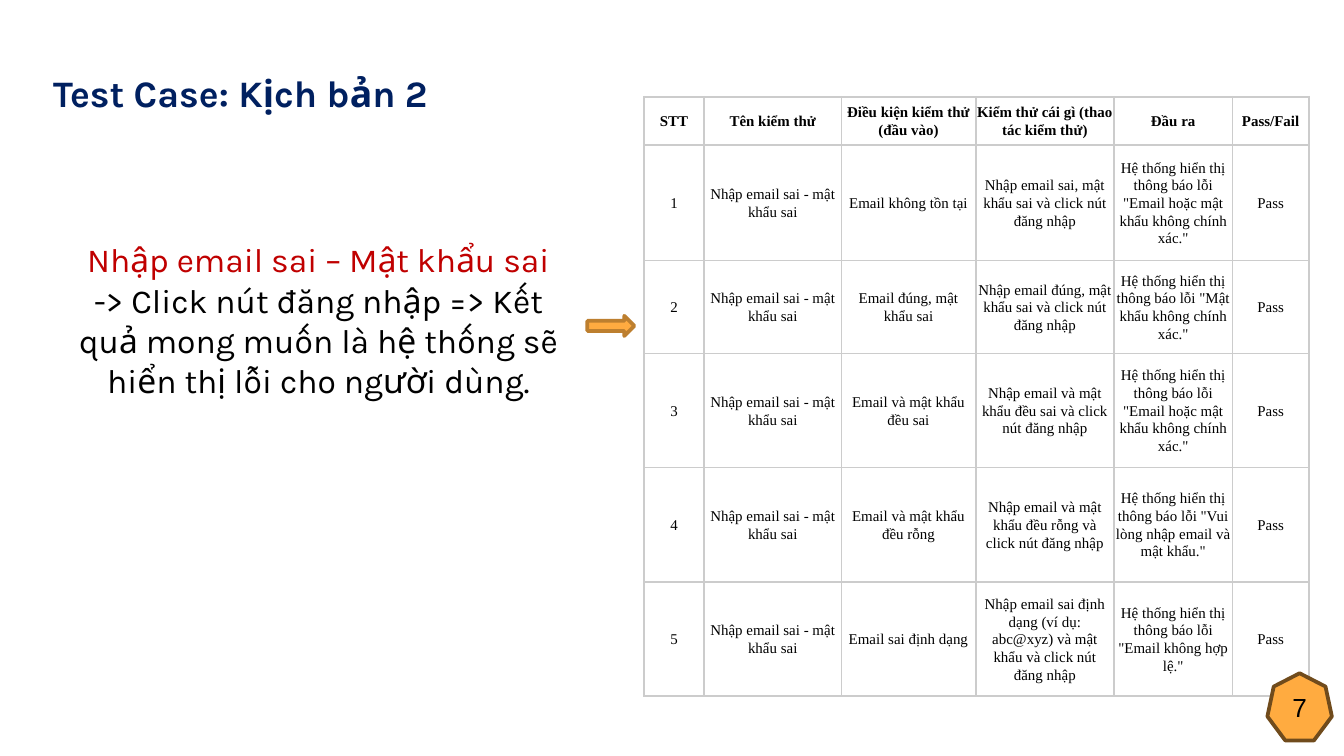
from pptx import Presentation
from pptx.dml.color import RGBColor
from pptx.enum.shapes import MSO_SHAPE as Shape
from pptx.enum.text import MSO_ANCHOR as Anchor, PP_ALIGN as Align
from pptx.oxml import parse_xml
from pptx.oxml.ns import nsdecls
from pptx.util import Inches, Pt

NAVY = RGBColor(0x00, 0x20, 0x60)
RED = RGBColor(0xC0, 0x00, 0x00)
BLACK = RGBColor(0x00, 0x00, 0x00)
ORANGE = RGBColor(0xFF, 0xAB, 0x40)
OCHRE = RGBColor(0xBD, 0x7F, 0x2F)
BROWN = RGBColor(0x70, 0x4B, 0x1C)
GRAY = RGBColor(0xCC, 0xCC, 0xCC)

COLUMN_WIDTHS = [0.45, 1.02, 1, 1.03, 0.88, 0.57]
ROW_HEIGHTS = [0.36, 0.86, 0.69, 0.85, 0.85, 0.85]
HEADERS = ["STT", "Tên kiểm thử", "Điều kiện kiểm thử (đầu vào)",
           "Kiểm thử cái gì (thao tác kiểm thử)", "Đầu ra", "Pass/Fail"]
TEST_NAME = "Nhập email sai - mật khẩu sai"
# Input condition, action, shown error
TEST_CASES = [
    ("Email không tồn tại",
     "Nhập email sai, mật khẩu sai và click nút đăng nhập",
     "Email hoặc mật khẩu không chính xác."),
    ("Email đúng, mật khẩu sai",
     "Nhập email đúng, mật khẩu sai và click nút đăng nhập",
     "Mật khẩu không chính xác."),
    ("Email và mật khẩu đều sai",
     "Nhập email và mật khẩu đều sai và click nút đăng nhập",
     "Email hoặc mật khẩu không chính xác."),
    ("Email và mật khẩu đều rỗng",
     "Nhập email và mật khẩu đều rỗng và click nút đăng nhập",
     "Vui lòng nhập email và mật khẩu."),
    ("Email sai định dạng",
     "Nhập email sai định dạng (ví dụ: abc@xyz) và mật khẩu và click nút đăng nhập",
     "Email không hợp lệ."),
]


def add_text(paragraph, text, font="Karla", size=18, color=BLACK, bold=False,
             spacing=None):
    paragraph.alignment = Align.CENTER
    if spacing:
        paragraph.line_spacing = spacing
    run = paragraph.add_run()
    run.text = text
    run.font.name = font
    run.font.size = Pt(size)
    run.font.bold = bold
    run.font.color.rgb = color


def set_margins(target, horizontal, vertical):
    target.margin_left = target.margin_right = Inches(horizontal)
    target.margin_top = target.margin_bottom = Inches(vertical)


class SlideBuilder:
    def __init__(self, slide):
        self.slide = slide
        self.table_style = {"font": "Times New Roman", "size": 8, "spacing": 1.07}

    def text_box(self, left, top, width, height):
        box = self.slide.shapes.add_textbox(
            Inches(left), Inches(top), Inches(width), Inches(height))
        box.text_frame.word_wrap = True
        set_margins(box.text_frame, 0.1, 0.1)
        return box.text_frame.paragraphs[0]

    def shape(self, kind, left, top, width, height, line_color):
        shape = self.slide.shapes.add_shape(
            kind, Inches(left), Inches(top), Inches(width), Inches(height))
        shape.shadow.inherit = False
        shape.fill.solid()
        shape.fill.fore_color.rgb = ORANGE
        shape.line.color.rgb = line_color
        shape.line.width = Pt(2)
        return shape

    def table(self, left, top, widths, heights, rows):
        table = self.slide.shapes.add_table(
            len(heights), len(widths), Inches(left), Inches(top),
            Inches(sum(widths)), Inches(sum(heights))).table
        for column, width in zip(table.columns, widths):
            column.width = Inches(width)
        for index, (row, height, texts) in enumerate(zip(table.rows, heights, rows)):
            row.height = Inches(height)
            for cell, text in zip(row.cells, texts):
                self.cell(cell, text, bold=index == 0)

    def cell(self, cell, text, bold):
        set_margins(cell, 0.01, 0.02)
        cell.vertical_anchor = Anchor.MIDDLE
        add_text(cell.text_frame.paragraphs[0], text, bold=bold, **self.table_style)
        # Borders come before the fill in the cell properties
        properties = cell._tc.get_or_add_tcPr()
        for side in ("lnL", "lnR", "lnT", "lnB"):
            properties.append(parse_xml(
                f'<a:{side} {nsdecls("a")} w="{Pt(1)}"><a:solidFill>'
                f'<a:srgbClr val="{GRAY}"/></a:solidFill></a:{side}>'))
        cell.fill.background()


def main():
    presentation = Presentation()
    # Widescreen, 16:9
    presentation.slide_width = Inches(10)
    presentation.slide_height = Inches(10 * 9 / 16)
    builder = SlideBuilder(
        presentation.slides.add_slide(presentation.slide_layouts[6]))

    # Title
    title = builder.text_box(-0.08, 0.42, 3.74, 0.69)
    add_text(title, "Test Case: Kịch bản 2", size=20, color=NAVY, bold=True)

    # Scenario and arrow to the test cases
    scenario = builder.text_box(0.44, 1.68, 3.86, 1.34)
    add_text(scenario, "Nhập email sai – Mật khẩu sai ", color=RED)
    add_text(scenario, "-> Click nút đăng nhập => Kết quả mong muốn là "
                       "hệ thống sẽ hiển thị lỗi cho người dùng.")
    builder.shape(Shape.RIGHT_ARROW, 4.37, 2.35, 0.35, 0.15, OCHRE)

    # Test cases
    rows = [HEADERS]
    for number, (condition, action, error) in enumerate(TEST_CASES, start=1):
        output = f'Hệ thống hiển thị thông báo lỗi "{error}"'
        rows.append([str(number), TEST_NAME, condition, action, output, "Pass"])
    builder.table(4.79, 0.72, COLUMN_WIDTHS, ROW_HEIGHTS, rows)

    # Page number
    badge = builder.shape(Shape.HEPTAGON, 9.43, 5.01, 0.48, 0.5, BROWN)
    badge.text_frame.vertical_anchor = Anchor.MIDDLE
    set_margins(badge.text_frame, 0, 0)
    add_text(badge.text_frame.paragraphs[0], "7", font="Arial", size=14)

    presentation.save("out.pptx")


if __name__ == "__main__":
    main()
